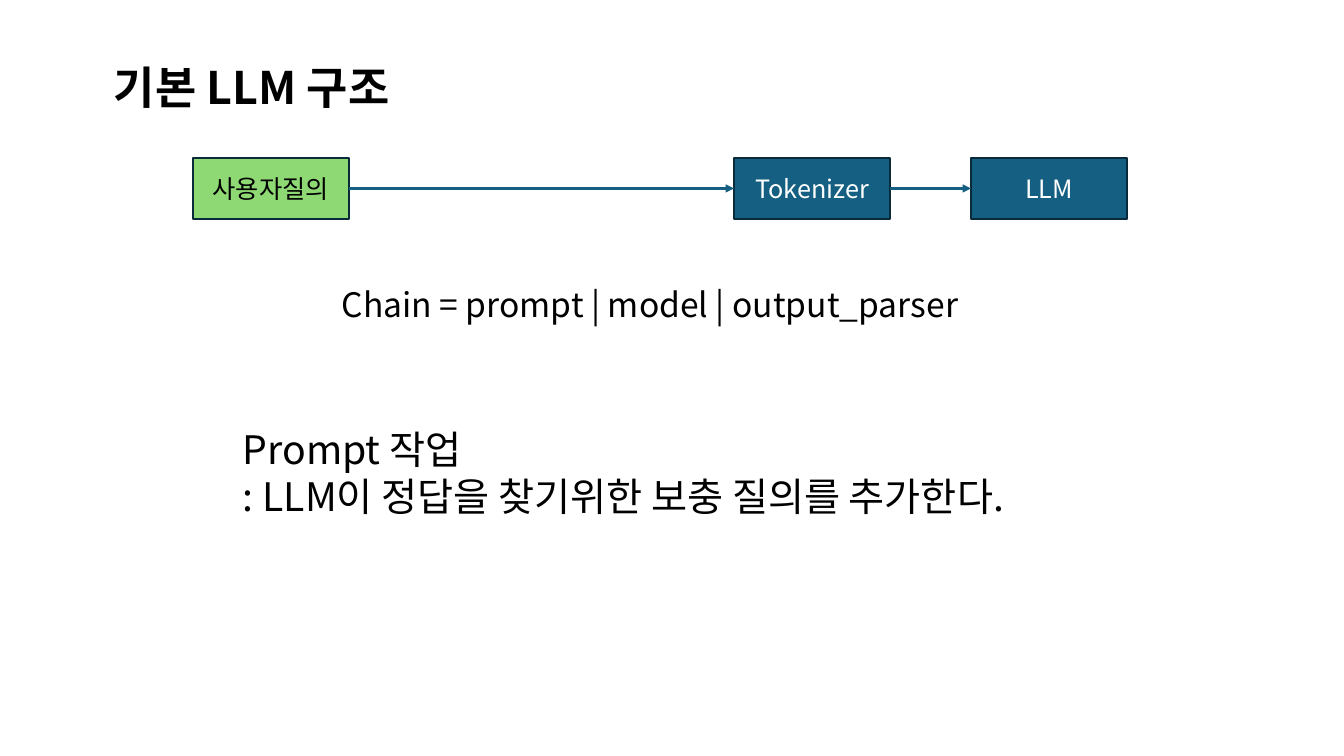
import dataclasses

import lxml.etree
import pptx
import pptx.dml.color
import pptx.enum.shapes
import pptx.enum.text
import pptx.oxml.ns
import pptx.shapes.autoshape
import pptx.shapes.base
import pptx.slide
import pptx.text.text
import pptx.util

FONT = "Noto Sans CJK KR"
BLACK, WHITE = "000000", "FFFFFF"
BLUE, GREEN, OUTLINE = "156082", "8ED973", "092A39"
STEP_TOP, STEP_WIDTH, STEP_HEIGHT = 1.57, 1.55, 0.6
LINE_WIDTH = 1.5


@dataclasses.dataclass(frozen=True)
class Step:
    label: str
    left: float
    fill: str
    text_color: str


@dataclasses.dataclass(frozen=True)
class Note:
    lines: tuple[str, ...]
    left: float
    top: float
    width: float
    height: float
    size: int
    bold: bool = False


TITLE = Note(("기본 LLM 구조",), 1.03, 0.54, 3.2, 0.64, 32, True)
NOTES = (
    Note(("Prompt 작업", ": LLM이 정답을 찾기위한 보충 질의를 추가한다."), 2.31, 4.17, 8.72, 1.04, 28),
    Note(("Chain = prompt | model | output_parser",), 3.29, 2.77, 6.38, 0.5, 24),
)
STEPS = (
    Step("사용자질의", 1.91, GREEN, BLACK),
    Step("Tokenizer", 7.28, BLUE, WHITE),
    Step("LLM", 9.63, BLUE, WHITE),
)


def rgb(color: str) -> pptx.dml.color.RGBColor:
    return pptx.dml.color.RGBColor.from_string(color)


def add_run(paragraph: pptx.text.text._Paragraph, text: str, size: int, color: str, bold: bool = False) -> None:
    run = paragraph.add_run()
    run.text = text
    run.font.name = FONT
    run.font.size = pptx.util.Pt(size)
    run.font.bold = bold
    run.font.color.rgb = rgb(color)
    east_asian = lxml.etree.SubElement(run.font._element, pptx.oxml.ns.qn("a:ea"))
    east_asian.set("typeface", FONT)


def write_note(shape: pptx.shapes.base.BaseShape, note: Note) -> None:
    shape.left, shape.top = pptx.util.Inches(note.left), pptx.util.Inches(note.top)
    shape.width, shape.height = pptx.util.Inches(note.width), pptx.util.Inches(note.height)
    frame = shape.text_frame
    frame.word_wrap = False
    frame.auto_size = pptx.enum.text.MSO_AUTO_SIZE.SHAPE_TO_FIT_TEXT
    frame.vertical_anchor = pptx.enum.text.MSO_ANCHOR.TOP
    for index, line in enumerate(note.lines):
        paragraph = frame.add_paragraph() if index else frame.paragraphs[0]
        paragraph.alignment = pptx.enum.text.PP_ALIGN.LEFT
        add_run(paragraph, line, note.size, BLACK, note.bold)


def add_step(slide: pptx.slide.Slide, step: Step) -> pptx.shapes.autoshape.Shape:
    shape = slide.shapes.add_shape(
        pptx.enum.shapes.MSO_SHAPE.RECTANGLE,
        pptx.util.Inches(step.left),
        pptx.util.Inches(STEP_TOP),
        pptx.util.Inches(STEP_WIDTH),
        pptx.util.Inches(STEP_HEIGHT),
    )
    shape.shadow.inherit = False
    shape.fill.solid()
    shape.fill.fore_color.rgb = rgb(step.fill)
    shape.line.color.rgb = rgb(OUTLINE)
    shape.line.width = pptx.util.Pt(LINE_WIDTH)
    shape.text_frame.vertical_anchor = pptx.enum.text.MSO_ANCHOR.MIDDLE
    paragraph = shape.text_frame.paragraphs[0]
    paragraph.alignment = pptx.enum.text.PP_ALIGN.CENTER
    add_run(paragraph, step.label, 18, step.text_color)
    return shape


def add_arrow(
    slide: pptx.slide.Slide,
    source: pptx.shapes.autoshape.Shape,
    target: pptx.shapes.autoshape.Shape,
) -> None:
    arrow = slide.shapes.add_connector(pptx.enum.shapes.MSO_CONNECTOR.STRAIGHT, 0, 0, 0, 0)
    arrow.begin_connect(source, 3)
    arrow.end_connect(target, 1)
    arrow.line.color.rgb = rgb(BLUE)
    arrow.line.width = pptx.util.Pt(LINE_WIDTH)
    head = lxml.etree.SubElement(arrow.line._get_or_add_ln(), pptx.oxml.ns.qn("a:tailEnd"))
    head.set("type", "triangle")
    lxml.etree.SubElement(arrow._element.spPr, pptx.oxml.ns.qn("a:effectLst"))


def main() -> None:
    presentation = pptx.Presentation()
    presentation.slide_width = pptx.util.Inches(13.33)
    presentation.slide_height = pptx.util.Inches(7.5)
    slide = presentation.slides.add_slide(presentation.slide_layouts.get_by_name("Title Only"))
    write_note(slide.shapes.title, TITLE)
    for note in NOTES:
        width, height = pptx.util.Inches(note.width), pptx.util.Inches(note.height)
        write_note(slide.shapes.add_textbox(0, 0, width, height), note)
    steps = [add_step(slide, step) for step in STEPS]
    for source, target in zip(steps, steps[1:]):
        add_arrow(slide, source, target)
    presentation.save("out.pptx")


if __name__ == "__main__":
    main()
